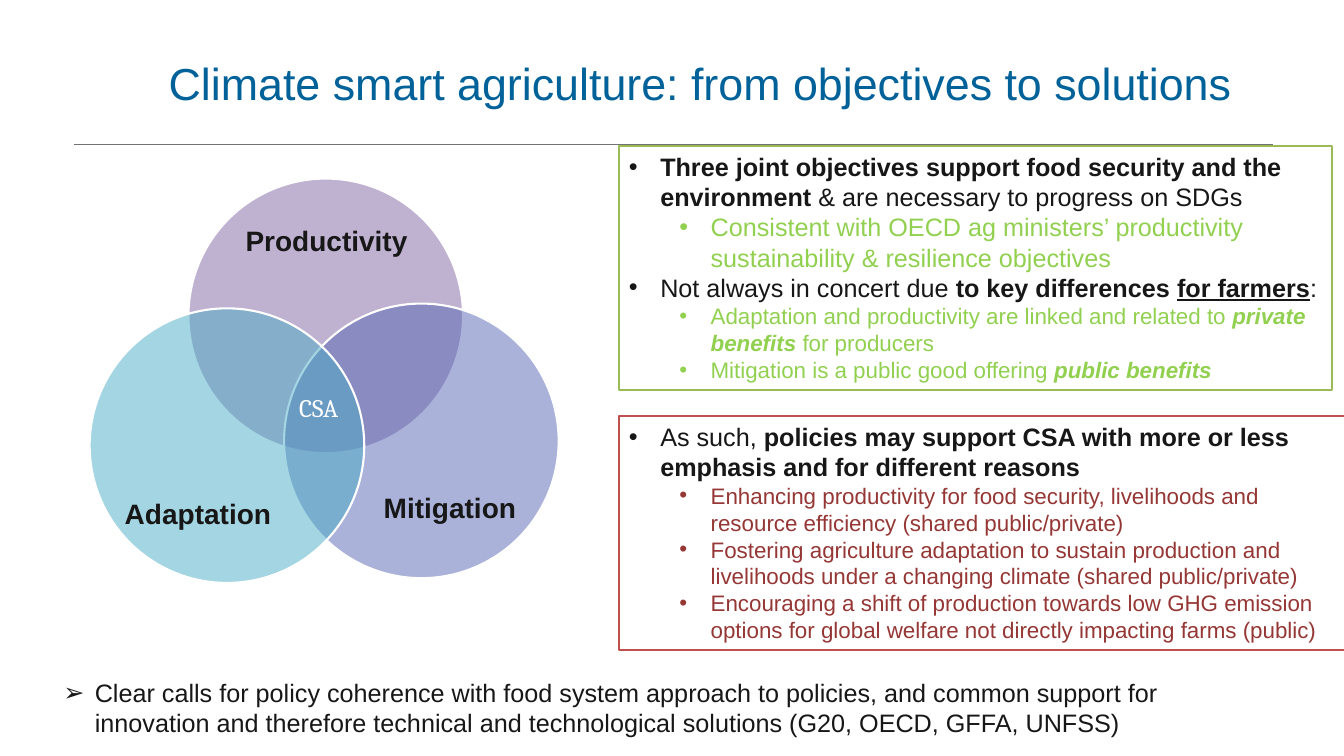
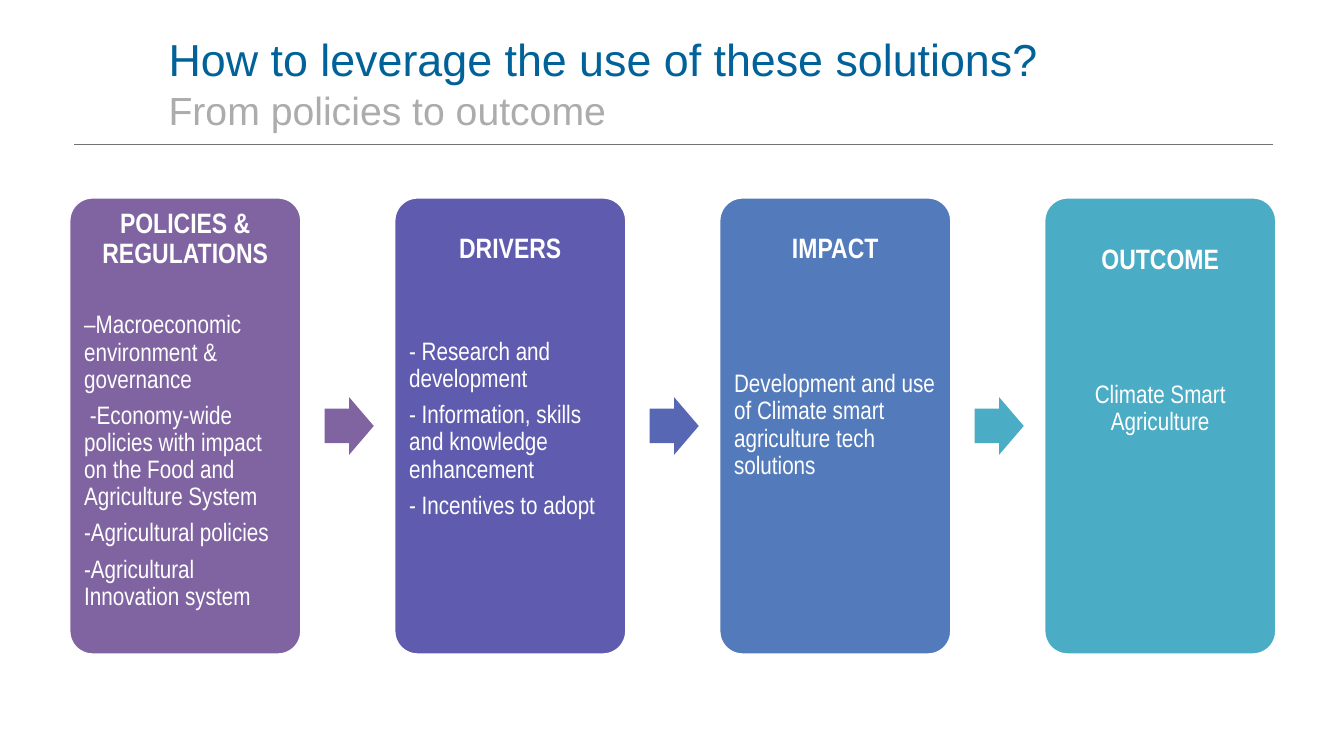
from dataclasses import dataclass

from lxml import etree
from pptx import Presentation
from pptx.dml.color import RGBColor
from pptx.enum import shapes, text
from pptx.oxml import ns
from pptx.util import Cm, Pt


@dataclass(frozen=True)
class Theme:
    title: str = "006299"
    sub: str = "ACACAC"
    rule: str = "727272"
    ink: str = "171717"
    white: str = "FFFFFF"
    purple: str = "8064A2"
    violet: str = "5F5BAE"
    indigo: str = "5767B4"
    blue: str = "537ABA"
    teal: str = "4BACC6"
    green: str = "9BBB59"
    lime: str = "92D050"
    red: str = "C0504D"
    wine: str = "953735"
    sans: str = "Arial"
    narrow: str = "Arial Narrow"
    serif: str = "Cambria"
    big: int = 32
    second: int = 28
    head: int = 20
    body: int = 18
    small: int = 16


T = Theme()
LEFT, MID = text.PP_ALIGN.LEFT, text.PP_ALIGN.CENTER
TOP, CENTRE, BASE = (text.MSO_ANCHOR.TOP, text.MSO_ANCHOR.MIDDLE,
                     text.MSO_ANCHOR.BOTTOM)
INSET = (0.25, 0.13, 0.25, 0.13)

# Circles: label, colour, circle corner, label box, label anchor
DISC = 6.92
CIRCLES = [
    ("Productivity", T.purple, (4.75, 4.5), (5.69, 5.72, 5.08, 3.12), TOP),
    ("Mitigation", T.indigo, (7.16, 7.65), (9.27, 9.42, 4.14, 3.81), BASE),
    ("Adaptation", T.teal, (2.26, 7.77), (2.92, 9.55, 4.14, 3.81), BASE),
]

# Panels: place, outline, then (level, size, colour, runs); runs are (words, style)
PANELS = [
    ((15.6, 3.68, 17.98, 6.15), T.green, [
        (0, T.body, T.ink, [
            ("Three joint objectives support food security and the environment ", "b"),
            ("& are necessary to progress on SDGs", "")]),
        (1, T.body, T.lime, [
            ("Consistent with OECD ag ministers’ productivity sustainability "
             "& resilience objectives", "")]),
        (0, T.body, T.ink, [
            ("Not always in concert due ", ""), ("to key differences ", "b"),
            ("for farmers", "bu"), (":", "")]),
        (1, T.small, T.lime, [
            ("Adaptation and productivity are linked and related to ", ""),
            ("private benefits ", "bi"), ("for producers", "")]),
        (1, T.small, T.lime, [
            ("Mitigation is a public good offering ", ""),
            ("public benefits", "bi")]),
    ]),
    ((15.6, 10.49, 18.36, 5.89), T.red, [
        (0, T.body, T.ink, [
            ("As such, ", ""),
            ("policies may support CSA with more or less emphasis "
             "and for different reasons", "b")]),
        (1, T.small, T.wine, [
            ("Enhancing productivity for food security, livelihoods and "
             "resource efficiency (shared public/private)", "")]),
        (1, T.small, T.wine, [
            ("Fostering agriculture adaptation to sustain production and "
             "livelihoods under a changing climate (shared public/private)", "")]),
        (1, T.small, T.wine, [
            ("Encouraging a shift of production towards low GHG emission "
             "options for global welfare not directly impacting farms (public)",
             "")]),
    ]),
]
CALL = ("Clear calls for policy coherence with food system approach to policies, "
        "and common support for innovation and therefore technical and "
        "technological solutions (G20, OECD, GFFA, UNFSS)")

# Cards: heading, body, fill, top inset (cm), gap under heading (pt), alignment
CARDS = [
    ("POLICIES & REGULATIONS",
     ["–Macroeconomic environment & governance",
      " -Economy-wide policies with impact on the Food and Agriculture System",
      "-Agricultural policies", "-Agricultural Innovation system"],
     T.purple, 0.13, 23, LEFT),
    ("DRIVERS",
     ["- Research and development",
      "- Information, skills and knowledge enhancement",
      "- Incentives to adopt"],
     T.violet, 0.75, 46, LEFT),
    ("IMPACT",
     ["Development and use of Climate smart agriculture tech solutions"],
     T.blue, 0.75, 69, LEFT),
    ("OUTCOME", ["Climate Smart Agriculture"], T.teal, 1.02, 69, MID),
]
ARROWS = [T.purple, T.indigo, T.teal]
CARD_X, CARD_Y, CARD_W, CARD_H, PITCH = 1.75, 4.98, 5.84, 11.51, 8.19
ARROW_W, ARROW_H = 1.24, 1.45


def rgb(code):
    return RGBColor.from_string(code)


def cms(place):
    return [Cm(v) for v in place]


def setup(frame, anchor=TOP, inset=INSET, wrap=True):
    frame.word_wrap = wrap
    frame.vertical_anchor = anchor
    (frame.margin_left, frame.margin_top,
     frame.margin_right, frame.margin_bottom) = cms(inset)


def write(frame, runs, size=T.body, color=T.ink, font=T.sans, align=LEFT,
          line=1.0, before=0, after=0, bullet=None, level=0):
    """Add a paragraph; runs is a string or a list of (words, style letters)."""
    para = frame.paragraphs[0]
    if para.runs:
        para = frame.add_paragraph()
    if bullet:
        props = para._p.get_or_add_pPr()
        props.set("marL", str(Cm(0.79 + 1.27 * level)))
        props.set("indent", str(-Cm(0.79)))
        face = etree.SubElement(props, ns.qn("a:buFont"))
        face.set("typeface", T.sans)
        etree.SubElement(props, ns.qn("a:buChar")).set("char", bullet)
    para.alignment = align
    para.line_spacing = line
    para.space_before, para.space_after = Pt(before), Pt(after)
    for words, style in [(runs, "")] if isinstance(runs, str) else runs:
        run = para.add_run()
        run.text = words
        face = run.font
        face.name, face.size, face.color.rgb = font, Pt(size), rgb(color)
        face.bold, face.italic = "b" in style, "i" in style
        face.underline = "u" in style


def box(slide, place, **setting):
    item = slide.shapes.add_textbox(*cms(place))
    setup(item.text_frame, **setting)
    return item


def form(slide, kind, place, fill, edge=None, alpha=None):
    item = slide.shapes.add_shape(kind, *cms(place))
    item.shadow.inherit = False
    item.fill.solid()
    item.fill.fore_color.rgb = rgb(fill)
    if alpha:
        tint = item.fill._xPr.find(".//" + ns.qn("a:srgbClr"))
        etree.SubElement(tint, ns.qn("a:alpha")).set("val", str(alpha * 1000))
    if edge:
        item.line.color.rgb = rgb(edge)
        item.line.width = Pt(1.5)
    else:
        item.line.fill.background()
    return item


def start(deck, title, sub=None):
    """Add a slide with its rule and title."""
    slide = deck.slides.add_slide(deck.slide_layouts[6])
    rule = slide.shapes.add_connector(
        shapes.MSO_CONNECTOR.STRAIGHT, *cms((1.87, 3.63, 32.07, 3.63)))
    rule.line.color.rgb = rgb(T.rule)
    rule.line.width = Pt(0.5)
    etree.SubElement(rule._element.spPr, ns.qn("a:effectLst"))
    frame = box(slide, (4, 0.66, 27.46, 2.84), anchor=CENTRE).text_frame
    write(frame, title, size=T.big, color=T.title)
    if sub:
        write(frame, sub, size=T.second, color=T.sub)
    return slide


def goals(deck):
    slide = start(deck, "Climate smart agriculture: from objectives to solutions")
    for name, color, corner, place, anchor in CIRCLES:
        form(slide, shapes.MSO_SHAPE.OVAL, (*corner, DISC, DISC), color,
             edge=T.white, alpha=50)
        label = box(slide, place, anchor=anchor, inset=(0, 0, 0, 0))
        write(label.text_frame, [(name, "b")], size=T.head, align=MID, line=0.9)
    core = box(slide, (7.29, 9.75, 1.73, 1.02), wrap=False)
    write(core.text_frame, "CSA", color=T.white, font=T.serif)
    for place, edge, points in PANELS:
        panel = form(slide, shapes.MSO_SHAPE.RECTANGLE, place, T.white, edge=edge)
        setup(panel.text_frame)
        for level, size, color, runs in points:
            write(panel.text_frame, runs, size=size, color=color,
                  bullet="•", level=level)
    call = box(slide, (1.35, 16.94, 29.74, 1.8))
    write(call.text_frame, CALL, bullet="➢")


def chain(deck):
    slide = start(deck, "How to leverage the use of these solutions?",
                  "From policies to outcome")
    for i, (head, lines, fill, top, gap, align) in enumerate(CARDS):
        left = CARD_X + i * PITCH
        card = form(slide, shapes.MSO_SHAPE.ROUNDED_RECTANGLE,
                    (left, CARD_Y, CARD_W, CARD_H), fill, edge=T.white)
        card.adjustments[0] = 0.1
        frame = card.text_frame
        setup(frame, inset=(0.2, top, 0.2, 0.2))
        look = dict(color=T.white, font=T.narrow, line=0.9)
        write(frame, [(head, "b")], size=T.head, align=MID, after=7, **look)
        for j, words in enumerate(lines):
            write(frame, words, align=align, before=0 if j else gap,
                  after=6.3, **look)
    for i, fill in enumerate(ARROWS):
        arrow = form(slide, shapes.MSO_SHAPE.RIGHT_ARROW,
                     (CARD_X + i * PITCH + 6.43,
                      CARD_Y + (CARD_H - ARROW_H) / 2, ARROW_W, ARROW_H), fill)
        arrow.adjustments[0] = 0.6


def main():
    deck = Presentation()
    deck.slide_width, deck.slide_height = Cm(33.87), Cm(19.05)
    goals(deck)
    chain(deck)
    deck.save("out.pptx")


if __name__ == "__main__":
    main()
